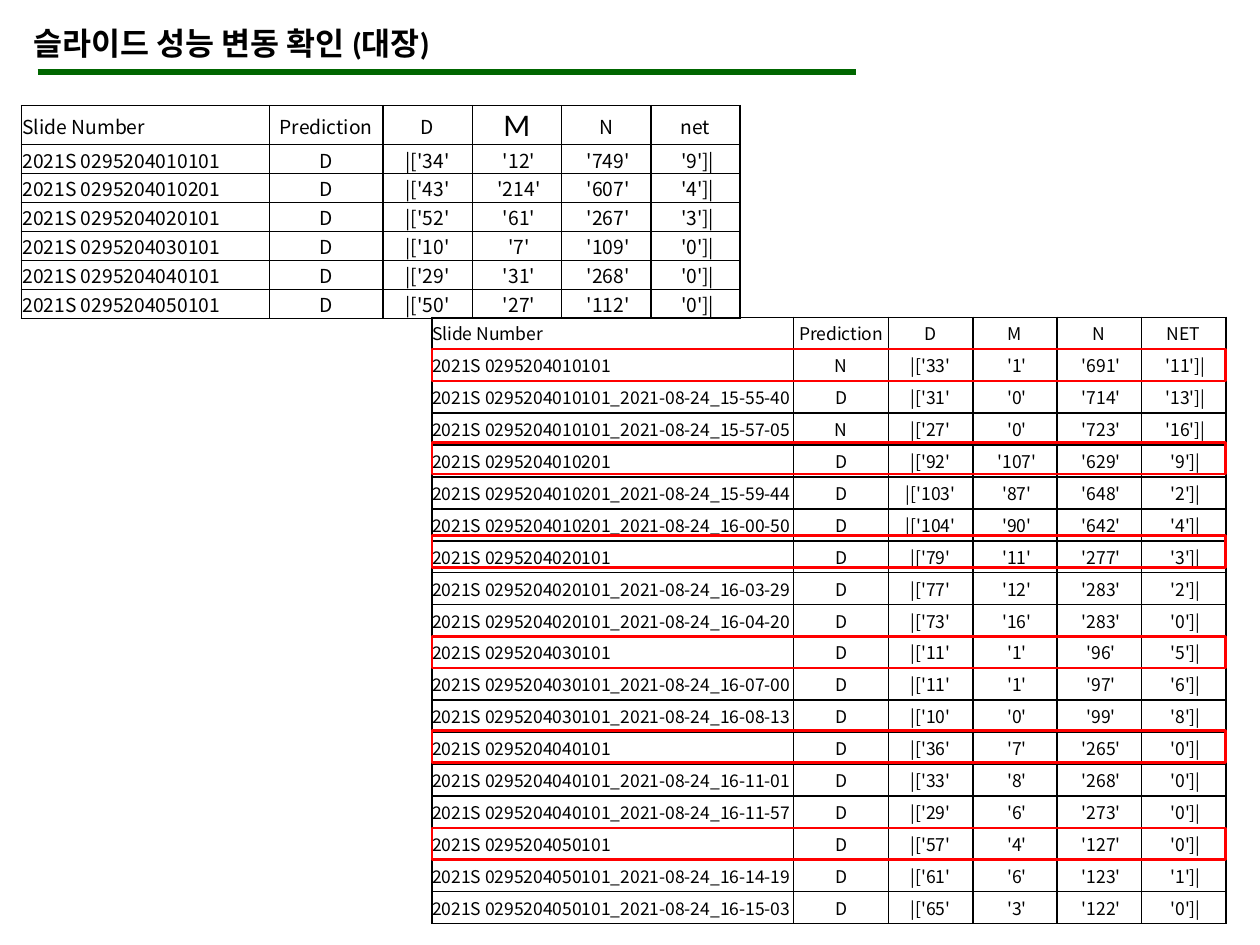
from lxml import etree
from pptx import Presentation
from pptx.dml.color import RGBColor
from pptx.enum.shapes import MSO_CONNECTOR, MSO_SHAPE
from pptx.enum.text import MSO_ANCHOR, MSO_AUTO_SIZE, PP_ALIGN
from pptx.oxml.ns import qn
from pptx.util import Cm, Pt

LINE = MSO_CONNECTOR.STRAIGHT
RECT = MSO_SHAPE.RECTANGLE
MIDDLE = MSO_ANCHOR.MIDDLE
GROW = MSO_AUTO_SIZE.SHAPE_TO_FIT_TEXT
LEFT, CENTER = PP_ALIGN.LEFT, PP_ALIGN.CENTER

BEFORE = [
    ("2021S 0295204010101", "D", 34, 12, 749, 9),
    ("2021S 0295204010201", "D", 43, 214, 607, 4),
    ("2021S 0295204020101", "D", 52, 61, 267, 3),
    ("2021S 0295204030101", "D", 10, 7, 109, 0),
    ("2021S 0295204040101", "D", 29, 31, 268, 0),
    ("2021S 0295204050101", "D", 50, 27, 112, 0),
]
AFTER = [
    ("2021S 0295204010101", "N", 33, 1, 691, 11),
    ("2021S 0295204010101_2021-08-24_15-55-40", "D", 31, 0, 714, 13),
    ("2021S 0295204010101_2021-08-24_15-57-05", "N", 27, 0, 723, 16),
    ("2021S 0295204010201", "D", 92, 107, 629, 9),
    ("2021S 0295204010201_2021-08-24_15-59-44", "D", 103, 87, 648, 2),
    ("2021S 0295204010201_2021-08-24_16-00-50", "D", 104, 90, 642, 4),
    ("2021S 0295204020101", "D", 79, 11, 277, 3),
    ("2021S 0295204020101_2021-08-24_16-03-29", "D", 77, 12, 283, 2),
    ("2021S 0295204020101_2021-08-24_16-04-20", "D", 73, 16, 283, 0),
    ("2021S 0295204030101", "D", 11, 1, 96, 5),
    ("2021S 0295204030101_2021-08-24_16-07-00", "D", 11, 1, 97, 6),
    ("2021S 0295204030101_2021-08-24_16-08-13", "D", 10, 0, 99, 8),
    ("2021S 0295204040101", "D", 36, 7, 265, 0),
    ("2021S 0295204040101_2021-08-24_16-11-01", "D", 33, 8, 268, 0),
    ("2021S 0295204040101_2021-08-24_16-11-57", "D", 29, 6, 273, 0),
    ("2021S 0295204050101", "D", 57, 4, 127, 0),
    ("2021S 0295204050101_2021-08-24_16-14-19", "D", 61, 6, 123, 1),
    ("2021S 0295204050101_2021-08-24_16-15-03", "D", 65, 3, 122, 0),
]
HIGHLIGHT_TOPS = [7.04, 8.92, 10.8, 12.83, 14.73, 16.69]


def rgb(value):
    return RGBColor.from_string(value)


def result_rows(header, data):
    rows = [header]
    for name, prediction, d, m, n, net in data:
        rows.append((name, prediction, f"|['{d}'", f" '{m}'", f" '{n}'", f" '{net}']|"))
    return rows


class SlideBuilder:
    title_font = "Calibri"
    table_font = "Noto Sans CJK KR"
    black = "000000"
    green = "006600"
    red = "FF0000"

    def __init__(self, s):
        self.s = s

    def run(self, p, text, font, size, bold=False):
        r = p.add_run()
        r.text = text
        r.font.name = font
        r.font.size = Pt(size)
        r.font.bold = bold
        r.font.color.rgb = rgb(self.black)

    def title(self, text, x, y, w, h):
        tf = self.s.shapes.add_textbox(Cm(x), Cm(y), Cm(w), Cm(h)).text_frame
        tf.word_wrap = True
        tf.auto_size = GROW
        self.run(tf.paragraphs[0], text, self.title_font, 18, True)

    def rule(self, x1, x2, y):
        line = self.s.shapes.add_connector(LINE, Cm(x1), Cm(y), Cm(x2), Cm(y))
        line.line.color.rgb = rgb(self.green)
        line.line.width = Pt(3)
        etree.SubElement(line._element.spPr, qn("a:effectLst"))

    def highlight(self, x, y, w, h):
        sp = self.s.shapes.add_shape(RECT, Cm(x), Cm(y), Cm(w), Cm(h))
        sp.shadow.inherit = False
        sp.fill.background()
        sp.line.color.rgb = rgb(self.red)
        sp.line.width = Pt(1.5)

    def borders(self, cell):
        tcPr = cell._tc.get_or_add_tcPr()
        for side in ("lnL", "lnR", "lnT", "lnB"):
            ln = etree.SubElement(tcPr, qn(f"a:{side}"), w=str(Pt(1)))
            fill = etree.SubElement(ln, qn("a:solidFill"))
            etree.SubElement(fill, qn("a:srgbClr"), val=self.black)

    def table(self, rows, x, y, cols, h, size, inset, special=None):
        shape = self.s.shapes.add_table(
            len(rows), len(cols), Cm(x), Cm(y), Cm(sum(cols)), Cm(h))
        table = shape.table
        table.first_row = table.horz_banding = False
        for column, width in zip(table.columns, cols):
            column.width = Cm(width)
        for i, row in enumerate(rows):
            for j, text in enumerate(row):
                cell = table.cell(i, j)
                self.borders(cell)
                cell.fill.background()
                cell.vertical_anchor = MIDDLE
                cell.margin_left = cell.margin_right = cell.margin_top = Cm(inset)
                cell.margin_bottom = Cm(0)
                p = cell.text_frame.paragraphs[0]
                p.alignment = CENTER if j else LEFT
                font, pt = (special or {}).get((i, j), (self.table_font, size))
                self.run(p, text, font, pt)
        return table


def main():
    prs = Presentation()
    prs.slide_width, prs.slide_height = Cm(25.4), Cm(19.05)
    b = SlideBuilder(prs.slides.add_slide(prs.slide_layouts[6]))

    b.title("슬라이드 성능 변동 확인 (대장)", 0.43, 0.36, 14.96, 1.02)
    b.rule(0.76, 17.25, 1.45)

    after = result_rows(("Slide Number", "Prediction", "D", "M", "N", "NET"), AFTER)
    b.table(after, 8.71, 6.4, [7.29, 1.91] + [1.7] * 4, 12.22, 10, 0)

    before = result_rows(("Slide Number", "Prediction", "D", "M", "N", "net"), BEFORE)
    table = b.table(before, 0.43, 2.13, [5, 2.29] + [1.8] * 4, 4.09, 11, 0.02,
                    {(0, 3): (b.title_font, 18)})
    table.rows[0].height = Cm(0.71)

    for top in HIGHLIGHT_TOPS:
        b.highlight(8.71, top, 16, 0.64)

    prs.save("out.pptx")


if __name__ == "__main__":
    main()
